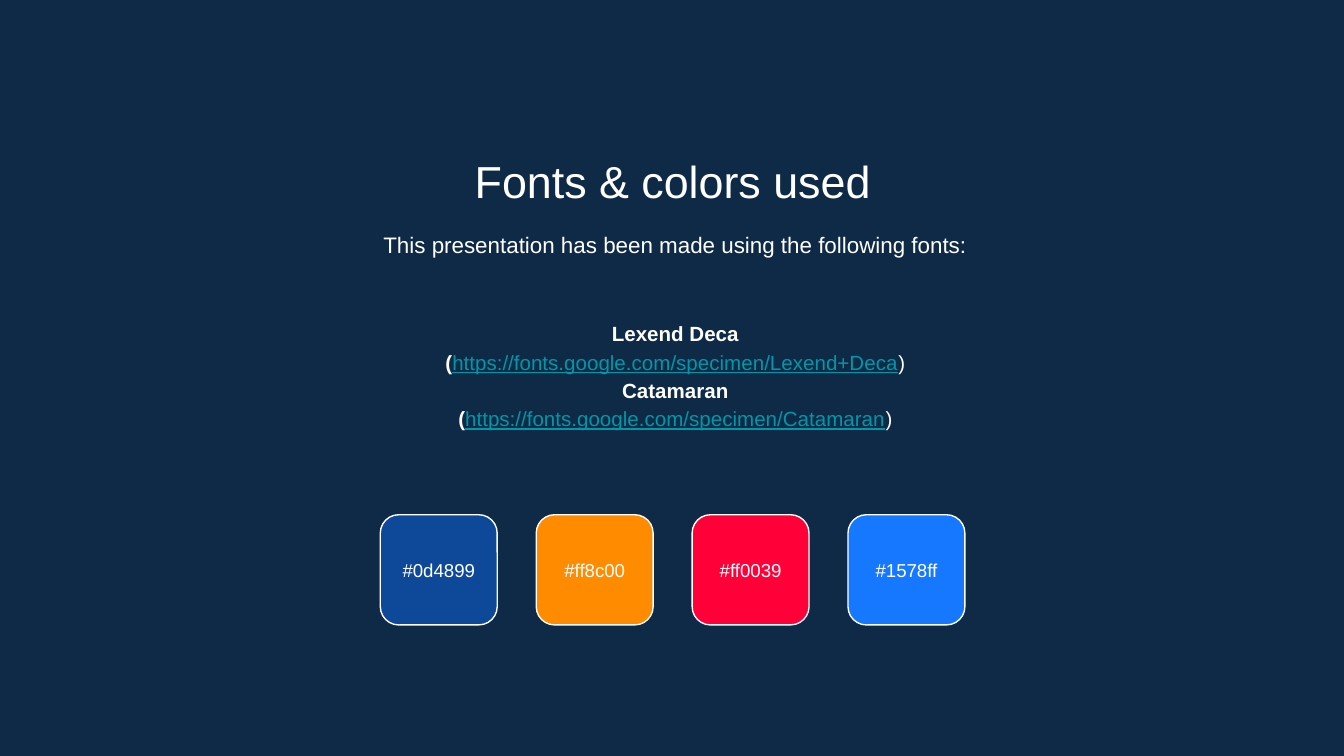
from pptx import Presentation
from pptx import util as u
from pptx.dml import color as c
from pptx.enum import shapes, text
from pptx.oxml import ns
from lxml import etree

NAVY = c.RGBColor(0x0E, 0x2A, 0x47)
WHITE = c.RGBColor(0xFF, 0xFF, 0xFF)
TEAL = c.RGBColor(0x00, 0x97, 0xA7)
BLUE = c.RGBColor(0x0D, 0x48, 0x99)
ORANGE = c.RGBColor(0xFF, 0x8C, 0x00)
RED = c.RGBColor(0xFF, 0x00, 0x39)
AZURE = c.RGBColor(0x15, 0x78, 0xFF)

FONT = "Arial"
FONT_SOURCES = [
    ("Lexend Deca", "https://fonts.google.com/specimen/Lexend+Deca"),
    ("Catamaran", "https://fonts.google.com/specimen/Catamaran"),
]


def set_box(part, left, top, width, height):
    part.left, part.top = u.Inches(left), u.Inches(top)
    part.width, part.height = u.Inches(width), u.Inches(height)


def set_frame(frame, anchor, inset=0.1):
    frame.word_wrap = True
    frame.auto_size = text.MSO_AUTO_SIZE.NONE
    frame.vertical_anchor = anchor
    frame.margin_left = frame.margin_right = u.Inches(inset)
    frame.margin_top = frame.margin_bottom = u.Inches(inset)


def style_paragraph(paragraph, size, line_spacing=1.0):
    paragraph.alignment = text.PP_ALIGN.CENTER
    paragraph.line_spacing = line_spacing
    paragraph.space_before = u.Pt(0)
    properties = paragraph._p.get_or_add_pPr()
    properties.set("marL", "0")
    properties.set("indent", "0")
    etree.SubElement(properties, ns.qn("a:buNone"))
    paragraph.font.name = FONT
    paragraph.font.size = u.Pt(size)
    paragraph.font.color.rgb = WHITE


def fill_line(holder, box, words, size, line_spacing=1.0):
    set_box(holder, *box)
    set_frame(holder.text_frame, text.MSO_ANCHOR.TOP)
    line = holder.text_frame.paragraphs[0]
    line.text = words
    style_paragraph(line, size, line_spacing)


def fill_font_list(holder, box):
    set_box(holder, *box)
    frame = holder.text_frame
    set_frame(frame, text.MSO_ANCHOR.MIDDLE)
    for index, (name, address) in enumerate(FONT_SOURCES):
        heading = frame.add_paragraph() if index else frame.paragraphs[0]
        heading.text = name
        style_paragraph(heading, 11, 1.15)
        heading.font.bold = True

        source = frame.add_paragraph()
        style_paragraph(source, 11, 1.15)
        opening, link, closing = [source.add_run() for _ in range(3)]
        opening.text, link.text, closing.text = "(", address, ")"
        opening.font.bold = True
        link.font.color.rgb = TEAL
        link.font.underline = True


def add_swatches(slide, box, colors):
    left, top, width, height = box
    swatch_width = 0.87
    pitch = (width - swatch_width) / (len(colors) - 1)
    for index, color in enumerate(colors):
        swatch = slide.shapes.add_shape(
            shapes.MSO_SHAPE.ROUNDED_RECTANGLE,
            u.Inches(left + index * pitch), u.Inches(top),
            u.Inches(swatch_width), u.Inches(height))
        swatch.shadow.inherit = False
        swatch.fill.solid()
        swatch.fill.fore_color.rgb = color
        swatch.line.color.rgb = WHITE
        swatch.line.width = u.Pt(0.75)
        set_frame(swatch.text_frame, text.MSO_ANCHOR.MIDDLE, 0)
        label = swatch.text_frame.paragraphs[0]
        label.text = f"#{color}".lower()
        style_paragraph(label, 10)


def build_fonts_and_colors(presentation):
    slide = presentation.slides.add_slide(presentation.slide_layouts[3])
    slide.background.fill.solid()
    slide.background.fill.fore_color.rgb = NAVY
    title, intro, font_list = list(slide.placeholders)[:3]
    fill_line(title, (1.15, 1.04, 7.71, 0.53), "Fonts & colors used", 24)
    fill_line(intro, (1.17, 1.59, 7.71, 0.48),
              "This presentation has been made using the following fonts:", 12, 1.15)
    fill_font_list(font_list, (1.17, 2.1, 7.71, 1.37))
    add_swatches(slide, (2.83, 3.83, 4.35, 0.82), [BLUE, ORANGE, RED, AZURE])


def main():
    presentation = Presentation()
    presentation.slide_width = u.Inches(10)
    presentation.slide_height = presentation.slide_width * 9 // 16
    build_fonts_and_colors(presentation)
    presentation.save("out.pptx")


if __name__ == "__main__":
    main()
